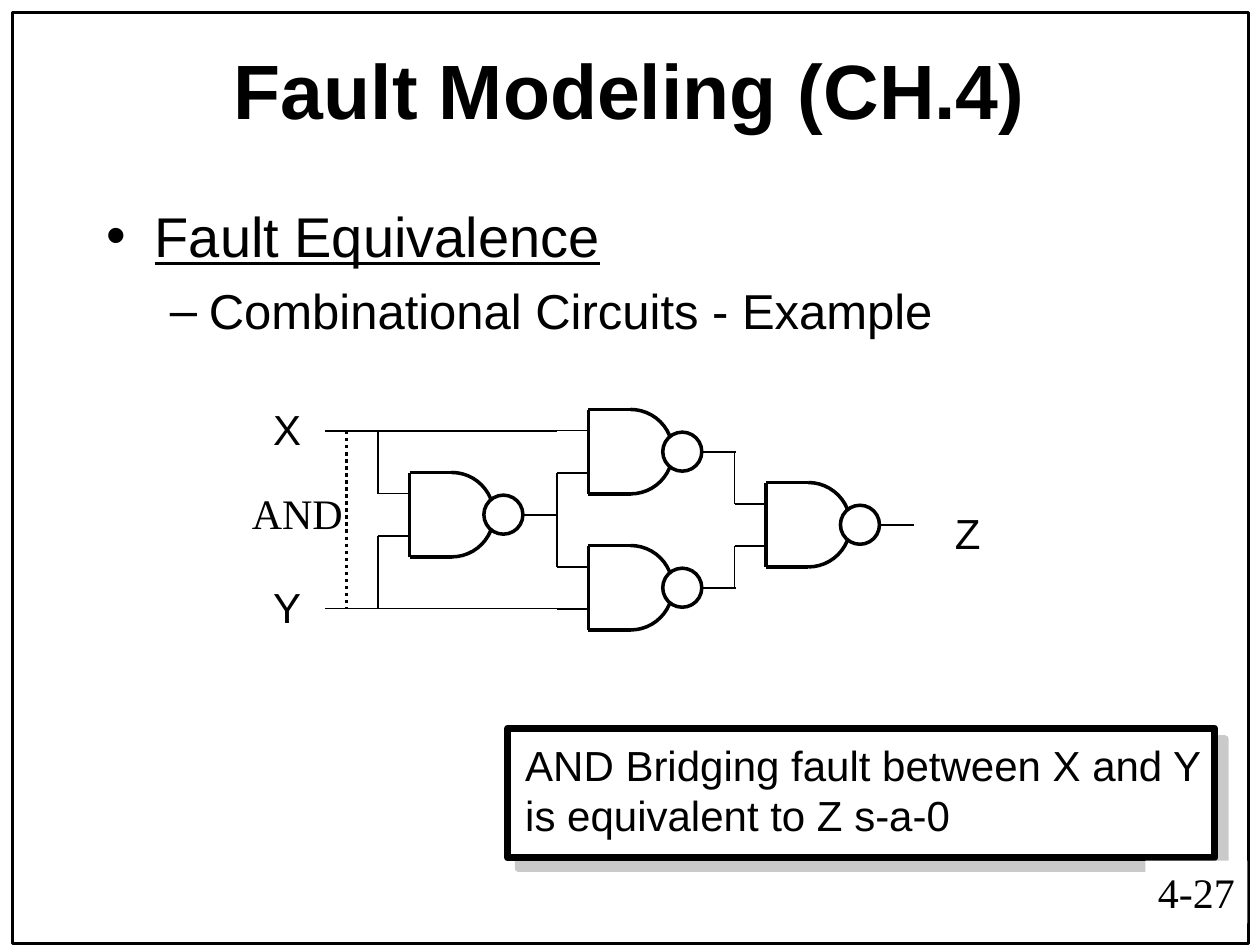
from lxml import etree
from pptx import Presentation
from pptx.dml.color import RGBColor
from pptx.enum.dml import MSO_LINE as Dash
from pptx.enum.shapes import MSO_CONNECTOR as Conn, MSO_SHAPE as Shape
from pptx.enum.text import MSO_ANCHOR as Anchor, MSO_AUTO_SIZE as Auto, PP_ALIGN as Align
from pptx.oxml import parse_xml
from pptx.oxml.ns import nsdecls, qn
from pptx.util import Inches, Pt

HUES = {"ink": "000000", "paper": "FFFFFF", "shade": "969696"}
SANS, SERIF = "Arial", "Times New Roman"

TITLE = "Fault Modeling (CH.4)"
POINTS = [
    ("Fault Equivalence", "•", 32, 0.38, 0.38, 0, True),
    ("Combinational Circuits - Example", "–", 28, 0.81, 0.31, 7, False),
]
LABELS = [
    ("X", 2.07, 3.15, 0.42, 0.5, SANS),
    ("Y", 2.07, 4.57, 0.42, 0.5, SANS),
    ("Z", 7.48, 3.98, 0.41, 0.5, SANS),
    ("AND", 1.9, 3.82, 0.92, 0.5, SERIF),
    ("AND Bridging fault between X and Y\nis equivalent to Z s-a-0", 4.07, 5.82, 5.58, 0.9, SANS),
]
PAGE = ("4-27", 9.09, 6.83, 0.81, 0.5, SERIF)
GATES = [(4.67, 4.33), (3.25, 3.75), (4.67, 3.25), (6.08, 3.83)]
SIDE, STUB, BALL = 0.67, 0.25, 0.31
TOP, BASE = 3.42, 4.83
WIRES = [
    (4.42, 3.75, 4.42, 4.5),
    (2.58, BASE, 4.42, BASE),
    (3, 4.25, 3, BASE),
    (2.58, TOP, 4.42, TOP),
    (3, TOP, 3, 3.92),
    (5.83, 3.58, 5.83, 4),
    (5.83, 4.33, 5.83, 4.67),
]

deck = Presentation()
deck.slide_width, deck.slide_height = Inches(10), Inches(7.5)
slide = deck.slides.add_slide(deck.slide_layouts[6])
shapes = slide.shapes


def hue(name):
    return RGBColor.from_string(HUES[name])


def draw(kind, x, y, w, h, width, fill=None):
    item = shapes.add_shape(kind, Inches(x), Inches(y), Inches(w), Inches(h))
    item.shadow.inherit = False
    if fill:
        item.fill.solid()
        item.fill.fore_color.rgb = hue(fill)
    else:
        item.fill.background()
    item.line.color.rgb = hue("ink")
    item.line.width = Pt(width)
    return item


def wire(x1, y1, x2, y2, width=1, dash=None):
    item = shapes.add_connector(Conn.STRAIGHT, Inches(x1), Inches(y1), Inches(x2), Inches(y2))
    item.line.color.rgb = hue("ink")
    item.line.width = Pt(width)
    if dash:
        item.line.dash_style = dash
    etree.SubElement(item._element.spPr, qn("a:effectLst"))


def style(para, size, face, bold=False, under=False):
    for run in para.runs:
        font = run.font
        font.size, font.name = Pt(size), face
        font.bold, font.underline = bold, under
        font.color.rgb = hue("ink")


def write(text, x, y, w, h, face, size=24, bold=False, wrap=False):
    box = shapes.add_textbox(Inches(x), Inches(y), Inches(w), Inches(h))
    frame = box.text_frame
    frame.word_wrap = wrap
    frame.auto_size = Auto.NONE if wrap else Auto.SHAPE_TO_FIT_TEXT
    frame.text = text
    for para in frame.paragraphs:
        style(para, size, face, bold)
    return box


def bullet(para, sign, left, hang):
    props = para._p.get_or_add_pPr()
    props.set("marL", str(Inches(left)))
    props.set("indent", str(-Inches(hang)))
    tint = etree.SubElement(props, qn("a:buClr"))
    etree.SubElement(tint, qn("a:srgbClr")).set("val", HUES["ink"])
    etree.SubElement(props, qn("a:buFont")).set("typeface", SANS)
    etree.SubElement(props, qn("a:buChar")).set("char", sign)


def gate(x, y):
    mid, end = y + SIDE / 2, x + SIDE
    arc = draw(Shape.ARC, x, y, SIDE, SIDE, 2)
    arc.adjustments[1] = 54
    for edge in (y, y + SIDE):
        wire(x, edge, x + SIDE / 2, edge, 2)
    wire(x, y, x, y + SIDE, 2)
    for part in (0.25, 0.75):
        pin = y + SIDE * part
        wire(x - STUB, pin, x, pin)
    wire(end, mid, end + 2 * STUB, mid)
    draw(Shape.OVAL, x + 0.59, mid - BALL / 2, BALL, BALL, 2, "paper")


draw(Shape.RECTANGLE, 0.1, 0.1, 9.81, 7.39, 2)
panel = draw(Shape.RECTANGLE, 4.03, 5.78, 5.61, 1.03, 4, "paper")
panel._element.spPr.find(qn("a:effectLst")).append(parse_xml(
    f'<a:outerShdw {nsdecls("a")} dist="{Pt(8.5)}" dir="2700000" algn="ctr" rotWithShape="0">'
    f'<a:srgbClr val="{HUES["shade"]}"><a:alpha val="50000"/></a:srgbClr></a:outerShdw>'))

head = write(TITLE, 0.75, 0.33, 8.5, 0.75, SANS, 44, True, True)
head.text_frame.vertical_anchor = Anchor.MIDDLE
head.text_frame.paragraphs[0].alignment = Align.CENTER

body = write("\n".join(row[0] for row in POINTS), 0.75, 1.55, 9, 1.33, SANS, wrap=True)
for level, (para, row) in enumerate(zip(body.text_frame.paragraphs, POINTS)):
    text, sign, size, left, hang, gap, under = row
    para.level = level
    para.space_before = Pt(gap)
    bullet(para, sign, left, hang)
    style(para, size, SANS, under=under)

for spot in GATES:
    gate(*spot)
for ends in WIRES:
    wire(*ends)
wire(2.75, TOP, 2.75, BASE, 2, Dash.ROUND_DOT)
for label in LABELS:
    write(*label)
page = write(*PAGE)
page.fill.solid()
page.fill.fore_color.rgb = hue("paper")

deck.save("out.pptx")
